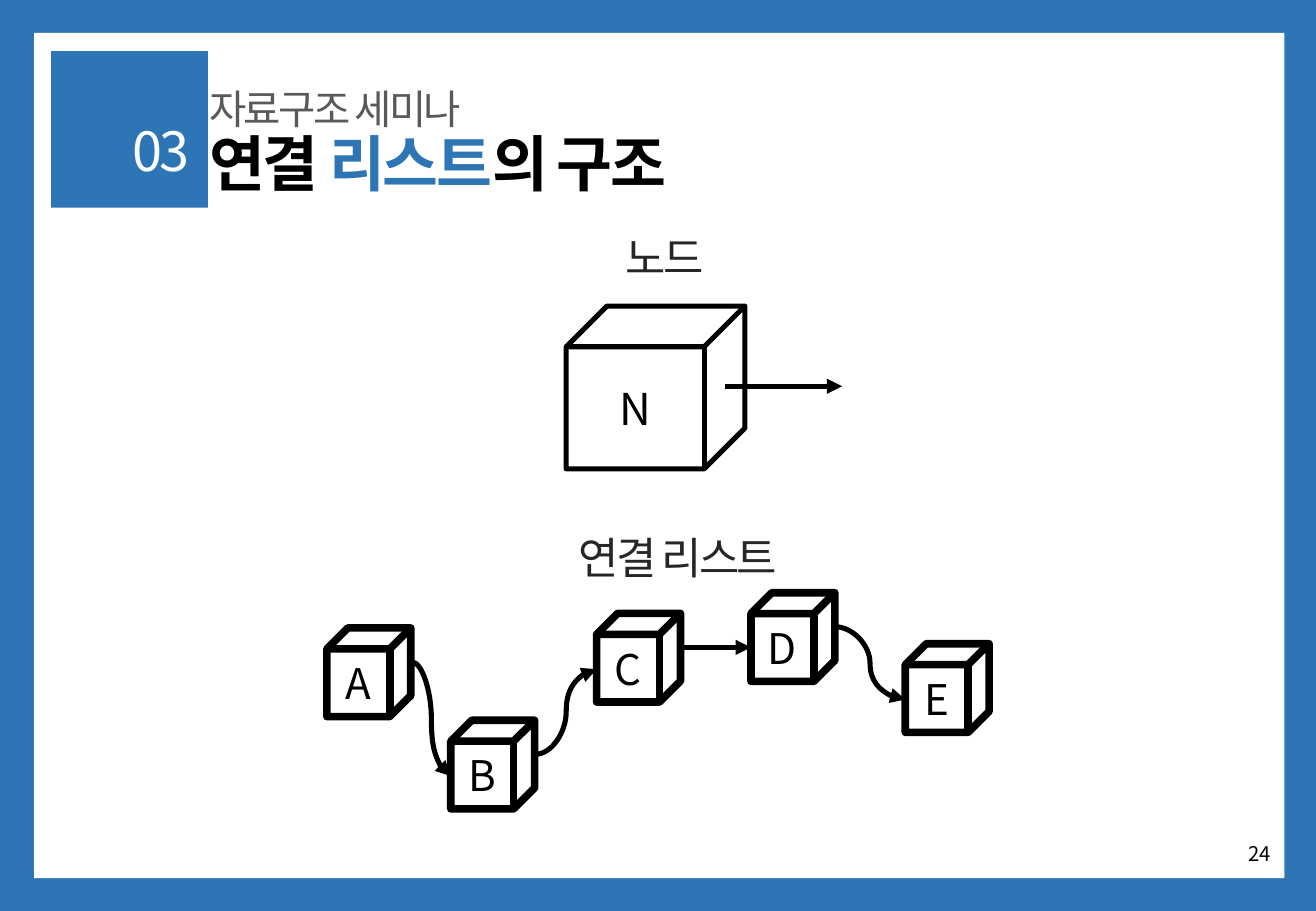
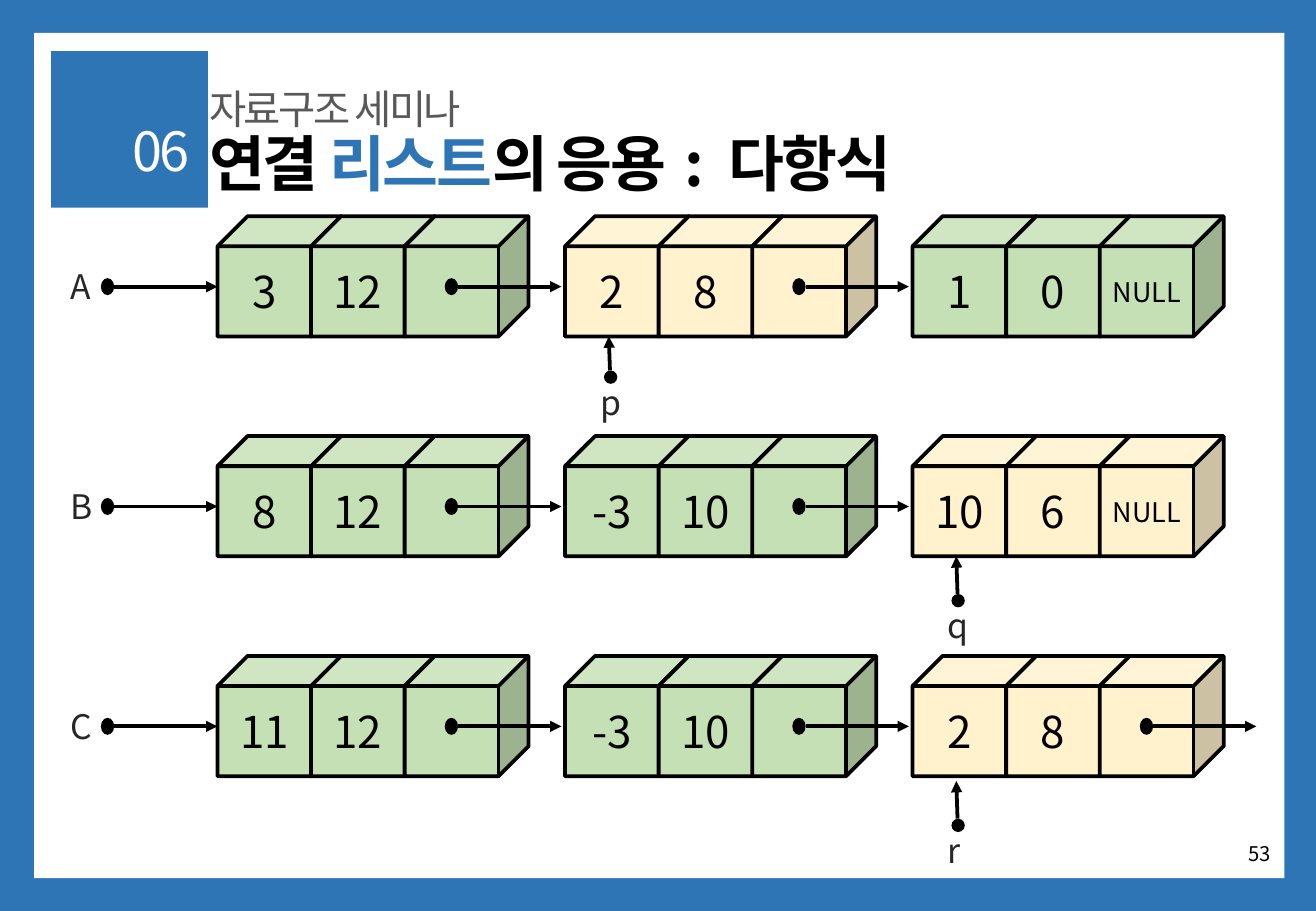
from lxml.etree import SubElement
from pptx import Presentation
from pptx.dml.color import RGBColor
from pptx.enum.shapes import MSO_CONNECTOR as LINK, MSO_SHAPE as SHAPE
from pptx.enum.text import MSO_ANCHOR as ANCHOR, MSO_AUTO_SIZE as FIT, PP_ALIGN as ALIGN
from pptx.oxml.ns import qn
from pptx.util import Pt

PX = 9144  # 100 px to the inch
FONT = "Noto Sans CJK KR"
COLORS = {"blue": "2E75B6", "white": "FFFFFF", "black": "000000", "gray": "595959",
          "dark": "262626", "green": "C5E0B4", "cream": "FFF2CC"}

# ---- Content ----
WIDTH, HEIGHT = 1083, 750
FRAME = [((0, 0, WIDTH, HEIGHT), "blue"), ((28, 27, 1029, 696), "white"),
         ((42, 42, 129, 129), "blue")]
SUBTITLE = "자료구조 세미나"
TIGHT = -150  # letter spacing, hundredths of a point
STRUCTURE = {"section": "03", "page": "24",
             "title": [("연결 ", "black", TIGHT), ("리스트", "blue", TIGHT),
                       ("의 구조", "black", TIGHT)]}
POLYNOMIAL = {"section": "06", "page": "53",
              "title": [("연결 ", "black", TIGHT), ("리스트", "blue", TIGHT),
                        ("의 응용", "black", TIGHT), (" : ", "black", 300),
                        ("다항식", "black", TIGHT)]}

CAPTIONS = [("노드", (505, 185, 96, 54)), ("연결 리스트", (466, 432, 197, 54))]
LIST_NODES = [("A", 269, 517), ("B", 371, 593), ("C", 491, 505),
              ("D", 618, 488), ("E", 745, 530)]
LIST_LINKS = [(339, 545, 371, 639), (441, 621, 491, 551),
              (560, 533, 618, 533), (687, 516, 745, 576)]

# Nodes: coefficient, exponent, link text (None draws a pointer), colour
# Marker: label, node it points at, gap to the tip, gap to the dot
POLYNOMIALS = [
    ("A", [("3", "12", None, "green"), ("2", "8", None, "cream"),
           ("1", "0", "NULL", "green")], ("p", 1, 0, 28)),
    ("B", [("8", "12", None, "green"), ("-3", "10", None, "green"),
           ("10", "6", "NULL", "cream")], ("q", 2, 0, 31)),
    ("C", [("11", "12", None, "green"), ("-3", "10", None, "green"),
           ("2", "8", None, "cream")], ("r", 2, 4, 35)),
]
ROW_TOP, ROW_STEP = 178, 181
NODE_LEFT, NODE_STEP = 179, 286
CELL_STEP, CELL_W, CELL_H = 77, 102, 99


# ---- Helpers ----
def emu(*lengths):
    return [round(length * PX) for length in lengths]


def rgb(name):
    return RGBColor.from_string(COLORS[name])


def write(frame, runs, size, align=ALIGN.LEFT, anchor=ANCHOR.TOP, bold=False,
          leading=None, wrap=True):
    """Fill a text frame with one paragraph of (text, colour, spacing) runs."""
    for name, value in {"word_wrap": wrap, "auto_size": FIT.NONE,
                        "vertical_anchor": anchor}.items():
        setattr(frame, name, value)
    paragraph = frame.paragraphs[0]
    for name, value in {"alignment": align, "space_before": Pt(0),
                        "line_spacing": leading}.items():
        setattr(paragraph, name, value)
    for text, color, spacing in runs:
        run = paragraph.add_run()
        run.text = text
        for name, value in {"name": FONT, "size": Pt(size), "bold": bold}.items():
            setattr(run.font, name, value)
        run.font.color.rgb = rgb(color)
        properties = run._r.get_or_add_rPr()
        properties.set("spc", str(spacing))
        SubElement(properties, qn("a:ea")).set("typeface", FONT)


def add_label(slide, box, text, size, color="dark", spacing=TIGHT, **layout):
    label = slide.shapes.add_textbox(*emu(*box))
    write(label.text_frame, [(text, color, spacing)], size, **layout)


def add_solid(slide, kind, box, fill=None, line=None):
    solid = slide.shapes.add_shape(kind, *emu(*box))
    solid.shadow.inherit = False
    if fill:
        solid.fill.solid()
        solid.fill.fore_color.rgb = rgb(fill)
    else:
        solid.fill.background()
    if line:
        solid.line.color.rgb = rgb("black")
        solid.line.width = Pt(line)
    else:
        solid.line.fill.background()
    return solid


def add_cube(slide, box, text, size, line, fill=None):
    cube = add_solid(slide, SHAPE.CUBE, box, fill, line)
    if text:
        cube.text_frame.margin_left = cube.text_frame.margin_right = 0
        write(cube.text_frame, [(text, "black", 0)], size, ALIGN.CENTER, ANCHOR.MIDDLE)


def add_arrow(slide, ends, width, kind=LINK.STRAIGHT):
    arrow = slide.shapes.add_connector(kind, *emu(*ends))
    arrow.line.color.rgb = rgb("black")
    arrow.line.width = Pt(width)
    SubElement(arrow.line._get_or_add_ln(), qn("a:tailEnd")).set("type", "triangle")
    SubElement(arrow._element.spPr, qn("a:effectLst"))


def add_pointer(slide, left, middle):
    """A dot with an arrow leaving it to the right."""
    add_solid(slide, SHAPE.FLOWCHART_CONNECTOR, (left, middle - 7, 11, 14), "black")
    add_arrow(slide, (left + 11, middle, left + 96, middle), 2.25)


# ---- Shared frame and heading ----
def add_frame(prs, slide):
    """Draw the coloured frame and move it onto the slide master."""
    for order, (box, color) in enumerate(FRAME):
        band = add_solid(slide, SHAPE.RECTANGLE, box, color).element
        band.nvSpPr.cNvPr.set("id", str(100 + order))
        prs.slide_master.shapes.element.insert(2 + order, band)


def add_heading(slide, heading):
    title, subtitle, section = slide.placeholders
    parts = [
        (title, (162, 107, 673, 60), heading["title"], 36, ALIGN.LEFT, True),
        (subtitle, (162, 76, 492, 31), [(SUBTITLE, "gray", TIGHT)], 24, ALIGN.LEFT, False),
        (section, (59, 101, 107, 51), [(heading["section"], "white", TIGHT)], 32,
         ALIGN.RIGHT, False),
    ]
    for holder, box, runs, size, align, bold in parts:
        holder.left, holder.top, holder.width, holder.height = emu(*box)
        properties = holder.text_frame.paragraphs[0]._p.get_or_add_pPr()
        properties.set("marL", "0")
        properties.set("indent", "0")
        SubElement(properties, qn("a:buNone"))
        write(holder.text_frame, runs, size, align, ANCHOR.MIDDLE, bold, 0.9)
    add_label(slide, (812, 683, 244, 40), heading["page"], 12, "black", 0,
              align=ALIGN.RIGHT, anchor=ANCHOR.MIDDLE)


# ---- Slide bodies ----
def draw_structure(slide):
    add_cube(slide, (466, 252, 147, 134), "N", 26, 3)
    add_arrow(slide, (597, 318, 693, 318), 3)
    for text, box in CAPTIONS:
        add_label(slide, box, text, 26, wrap=False)
    for name, left, top in LIST_NODES:
        add_cube(slide, (left, top, 69, 73), name, 25, 4.5)
    for ends in LIST_LINKS:
        add_arrow(slide, ends, 3, LINK.CURVE)


def draw_polynomials(slide):
    for row, (name, nodes, marker) in enumerate(POLYNOMIALS):
        top = ROW_TOP + row * ROW_STEP
        middle, bottom = top + 58, top + CELL_H
        add_label(slide, (48, top + 36, 46, 44), name, 20)
        add_pointer(slide, 83, middle)
        for place, (*cells, fill) in enumerate(nodes):
            left = NODE_LEFT + place * NODE_STEP
            for column, text in enumerate(cells):
                add_cube(slide, (left + column * CELL_STEP, top, CELL_W, CELL_H),
                         text, 16 if text == "NULL" else 26, 2.25, fill)
            if cells[-1] is None:
                add_pointer(slide, left + 187, middle)

        # Marker below the node
        letter, target, tip_gap, dot_gap = marker
        left, dot_top = NODE_LEFT + target * NODE_STEP, bottom + dot_gap
        add_label(slide, (left + 19, dot_top + 4, 40, 44), letter, 20)
        add_solid(slide, SHAPE.FLOWCHART_CONNECTOR, (left + 32, dot_top, 11, 11), "black")
        add_arrow(slide, (left + 37, dot_top, left + 36, bottom + tip_gap), 2.25)


def main():
    prs = Presentation()
    prs.slide_width, prs.slide_height = emu(WIDTH, HEIGHT)
    two_content = prs.slide_layouts[3]
    for heading, draw in [(STRUCTURE, draw_structure), (POLYNOMIAL, draw_polynomials)]:
        slide = prs.slides.add_slide(two_content)
        if len(prs.slides) == 1:
            add_frame(prs, slide)
        add_heading(slide, heading)
        draw(slide)
    prs.save("out.pptx")


if __name__ == "__main__":
    main()
